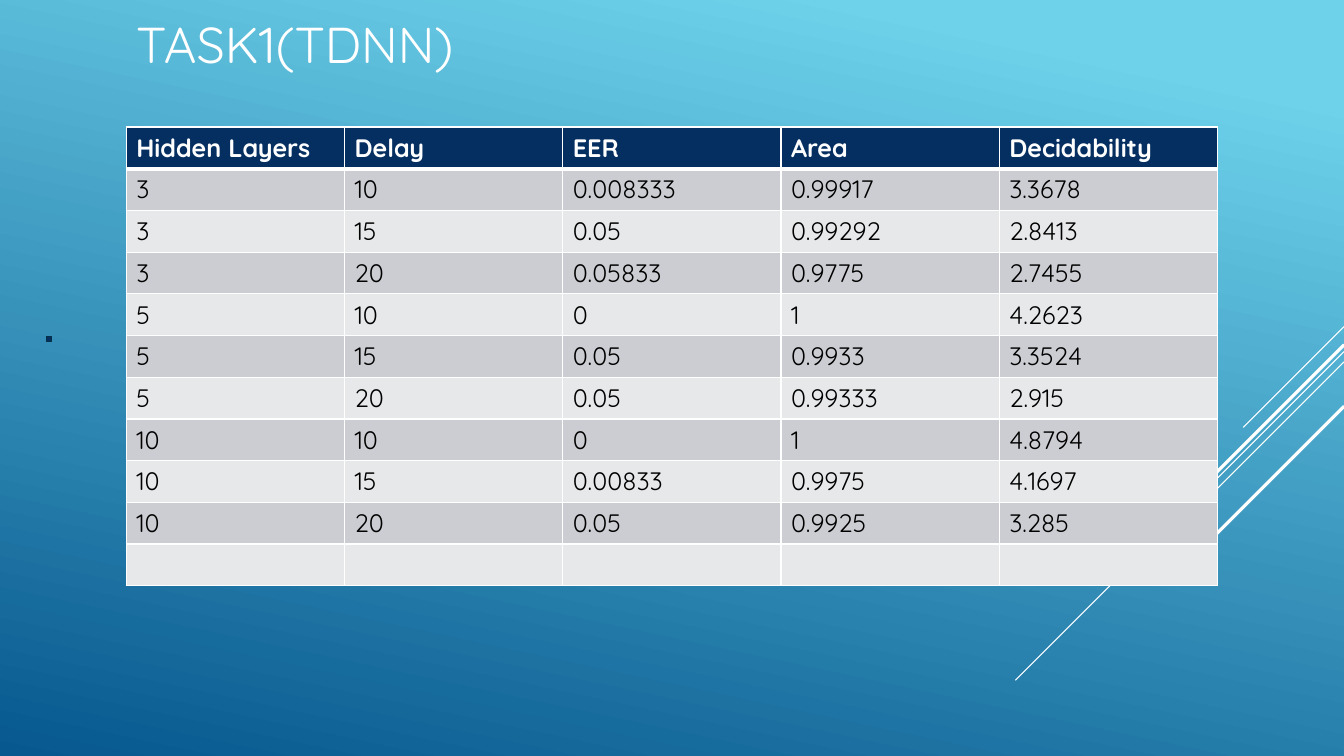
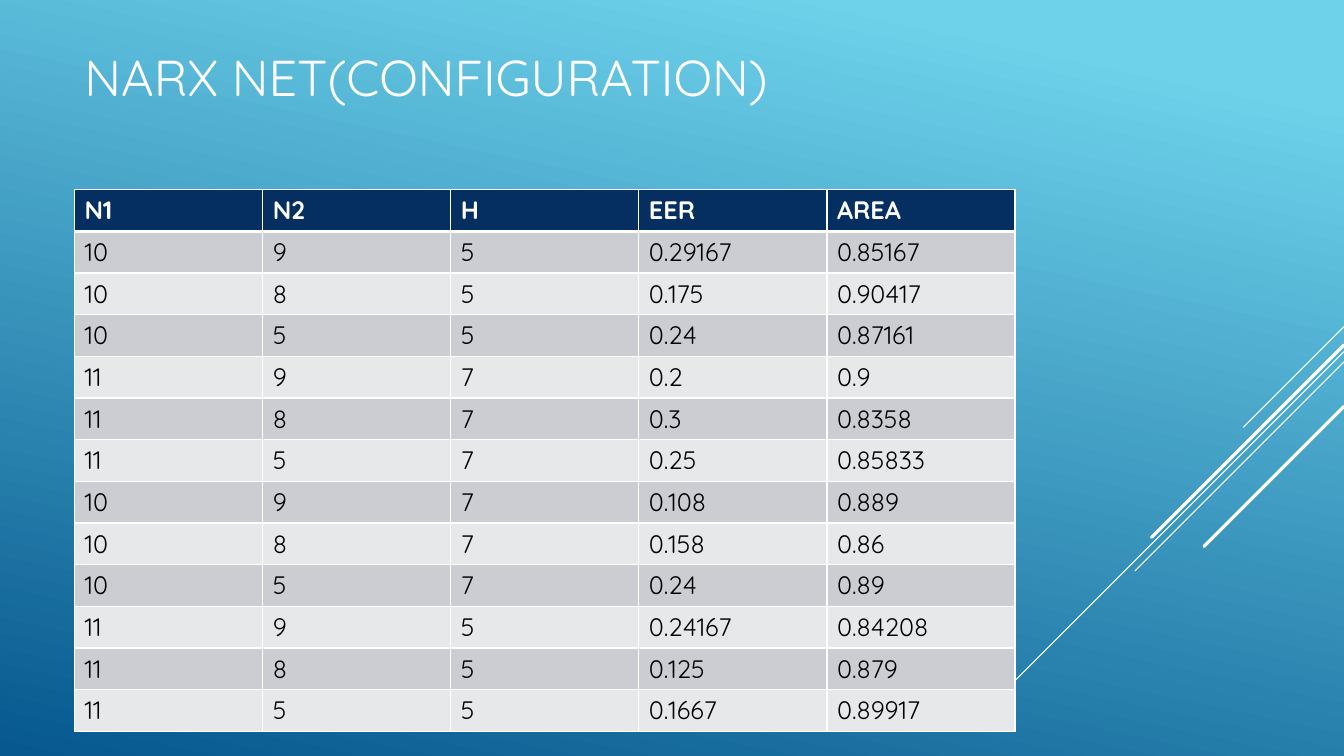
"""Build two slides of network test results."""
import dataclasses

import lxml.etree
import pptx
import pptx.dml.color
import pptx.enum.shapes
import pptx.enum.text
import pptx.oxml.ns
import pptx.util

Cm = pptx.util.Cm
Pt = pptx.util.Pt
qn = pptx.oxml.ns.qn


@dataclasses.dataclass(frozen=True)
class Theme:
    """Hold the colours, font, sizes and shared measures."""
    font: str = "Quicksand"
    title: int = 36
    body: int = 18
    white: str = "FFFFFF"
    black: str = "000000"
    navy: str = "052F61"
    edge: str = "043148"
    bands: tuple = ("CCCDD2", "E7E8EA")
    sky: tuple = ((0.1, "6ED2EB"), (1, "06588E"))
    angle: int = 258
    wide: float = 33.87
    high: float = 19.05
    row: float = 1.05
    rays: tuple = ((8.23, 2.54, 0.75), (8.86, 8.28, 0.75),
                   (9.12, 5.27, 0.75), (8.69, 4.85, 2.25),
                   (10.24, 3.53, 2.25))


THEME = Theme()

DELAY = (
    ("Hidden Layers", "Delay", "EER", "Area", "Decidability"),
    ("3", "10", "0.008333", "0.99917", "3.3678"),
    ("3", "15", "0.05", "0.99292", "2.8413"),
    ("3", "20", "0.05833", "0.9775", "2.7455"),
    ("5", "10", "0", "1", "4.2623"),
    ("5", "15", "0.05", "0.9933", "3.3524"),
    ("5", "20", "0.05", "0.99333", "2.915"),
    ("10", "10", "0", "1", "4.8794"),
    ("10", "15", "0.00833", "0.9975", "4.1697"),
    ("10", "20", "0.05", "0.9925", "3.285"),
    ("",) * 5,
)

NARX = (
    ("N1", "N2", "H", "EER", "AREA"),
    ("10", "9", "5", "0.29167", "0.85167"),
    ("10", "8", "5", "0.175", "0.90417"),
    ("10", "5", "5", "0.24", "0.87161"),
    ("11", "9", "7", "0.2", "0.9"),
    ("11", "8", "7", "0.3", "0.8358"),
    ("11", "5", "7", "0.25", "0.85833"),
    ("10", "9", "7", "0.108", "0.889"),
    ("10", "8", "7", "0.158", "0.86"),
    ("10", "5", "7", "0.24", "0.89"),
    ("11", "9", "5", "0.24167", "0.84208"),
    ("11", "8", "5", "0.125", "0.879"),
    ("11", "5", "5", "0.1667", "0.89917"),
)


def tint(code):
    """Turn a hex code into a colour."""
    return pptx.dml.color.RGBColor.from_string(code)


def paint(fill, code):
    """Give a fill one solid colour."""
    fill.solid()
    fill.fore_color.rgb = tint(code)


def write(frame, text, size=THEME.body, color=THEME.black, bold=False):
    """Put formatted text into a text frame."""
    para = frame.paragraphs[0]
    para.text = text
    for font in (para.font, *(run.font for run in para.runs)):
        font.name = THEME.font
        font.size = Pt(size)
        font.bold = bold
        font.color.rgb = tint(color)


def ray(slide, top, reach, width):
    """Draw a slanted line in from the right edge."""
    line = slide.shapes.add_connector(
        pptx.enum.shapes.MSO_CONNECTOR.STRAIGHT, Cm(THEME.wide), Cm(top),
        Cm(THEME.wide - reach), Cm(top + reach))
    line.line.width = Pt(width)
    paint(line.line.fill, THEME.white)
    if width > 1:
        line.line._get_or_add_ln().set("cap", "rnd")
    lxml.etree.SubElement(line._element.spPr, qn("a:effectLst"))


def start(deck):
    """Add a slide with the shared backdrop."""
    slide = deck.slides.add_slide(deck.slide_layouts[6])
    fill = slide.background.fill
    fill.gradient()
    fill.gradient_angle = THEME.angle
    for stop, (place, code) in zip(fill.gradient_stops, THEME.sky):
        stop.position = place
        stop.color.rgb = tint(code)
    for item in THEME.rays:
        ray(slide, *item)
    return slide


def head(slide, text, left, top):
    """Add the slide title."""
    box = slide.shapes.add_textbox(Cm(left), Cm(top), Cm(23.7), Cm(4.19))
    frame = box.text_frame
    frame.word_wrap = True
    frame.vertical_anchor = pptx.enum.text.MSO_ANCHOR.MIDDLE
    write(frame, text, size=THEME.title, color=THEME.white)


def rule(cell, side, width):
    """Draw one white edge of a cell."""
    props = cell._tc.get_or_add_tcPr()
    line = lxml.etree.SubElement(props, qn("a:ln" + side), w=str(Pt(width)))
    fill = lxml.etree.SubElement(line, qn("a:solidFill"))
    lxml.etree.SubElement(fill, qn("a:srgbClr"), val=THEME.white)


def grid(slide, rows, left, top, width):
    """Add a banded table with a dark first row."""
    count = len(rows[0])
    table = slide.shapes.add_table(
        len(rows), count, Cm(left), Cm(top), Cm(width),
        Cm(THEME.row * len(rows))).table
    for y, row in enumerate(rows):
        first = y == 0
        edges = {"L": 1, "R": 1, "T": 3 if y == 1 else 1,
                 "B": 3 if first else 1}
        for x, text in enumerate(row):
            cell = table.cell(y, x)
            for side, size in edges.items():
                rule(cell, side, size)
            paint(cell.fill, THEME.navy if first else THEME.bands[(y - 1) % 2])
            write(cell.text_frame, text, bold=first,
                  color=THEME.white if first else THEME.black)


def mark(slide, left, top, size):
    """Add a small dark square."""
    shape = slide.shapes.add_shape(
        pptx.enum.shapes.MSO_SHAPE.RECTANGLE,
        Cm(left), Cm(top), Cm(size), Cm(size))
    shape.shadow.inherit = False
    paint(shape.fill, THEME.navy)
    paint(shape.line.fill, THEME.edge)
    shape.line.width = Pt(1.25)


def main():
    """Build and save the deck."""
    deck = pptx.Presentation()
    deck.slide_width = Cm(THEME.wide)
    deck.slide_height = Cm(THEME.high)

    slide = start(deck)
    grid(slide, DELAY, 3.18, 3.2, 27.5)
    mark(slide, 1.17, 8.48, 0.13)
    head(slide, "TASK1(TDNN)", 3.18, -0.99)

    slide = start(deck)
    head(slide, "NARX NET(CONFIGURATION)", 1.88, -0.18)
    grid(slide, NARX, 1.88, 4.78, 23.7)

    deck.save("out.pptx")


if __name__ == "__main__":
    main()
